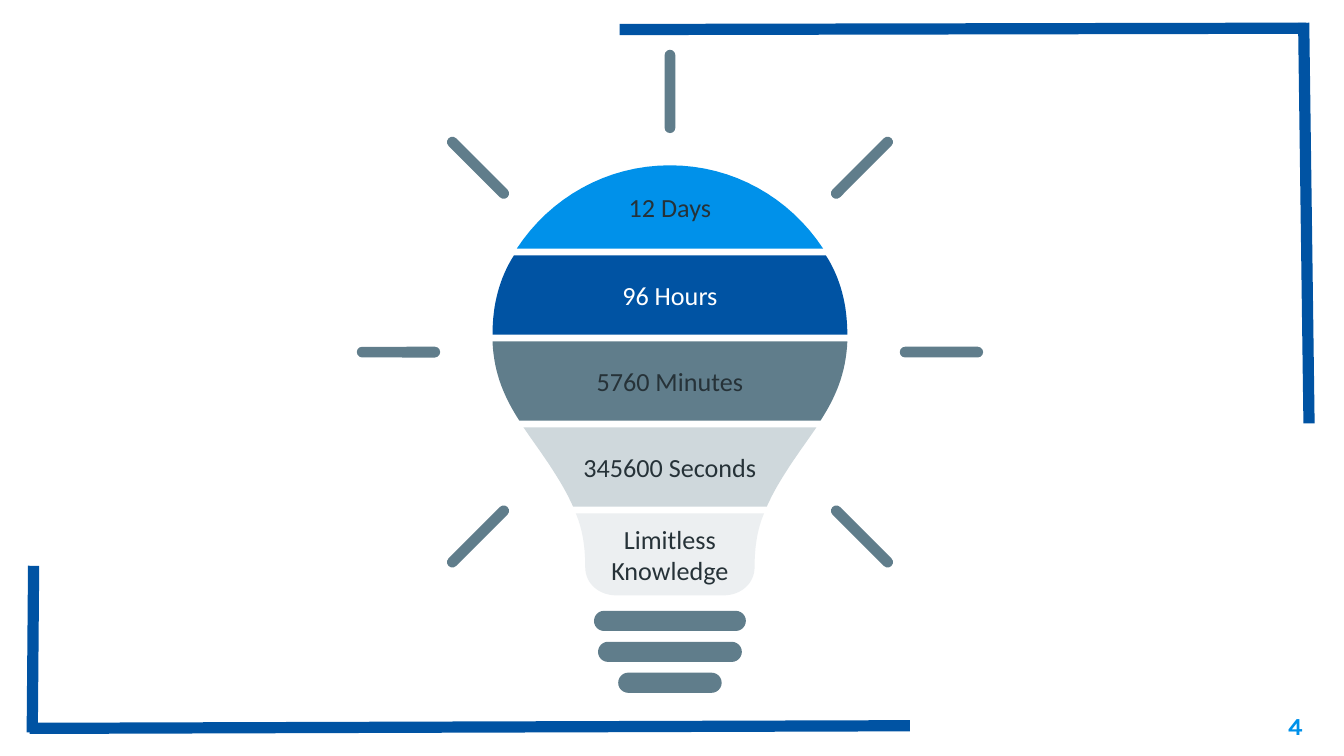
from math import cos, radians, sin

from lxml import etree
from pptx import Presentation
from pptx.dml.color import RGBColor
from pptx.enum.shapes import MSO_CONNECTOR, MSO_SHAPE
from pptx.enum.text import MSO_ANCHOR, PP_ALIGN
from pptx.oxml.ns import qn
from pptx.util import Inches, Pt

SKY = RGBColor(0x00, 0x91, 0xEA)
NAVY = RGBColor(0x00, 0x53, 0xA3)
SLATE = RGBColor(0x60, 0x7D, 0x8B)
MIST = RGBColor(0xCF, 0xD8, 0xDC)
PALE = RGBColor(0xEC, 0xEF, 0xF1)
INK = RGBColor(0x26, 0x32, 0x38)
WHITE = RGBColor(0xFF, 0xFF, 0xFF)

BANDS = [
    ("12 Days", SKY, INK,
     [(0, 0.85), (0.47, 0.85), (0.89, 1.09), (1.14, 1.47)]),
    ("96 Hours", NAVY, WHITE,
     [(1.16, 1.52), (1.27, 1.69), (1.32, 1.89), (1.32, 2.11)]),
    ("5760 Minutes", SLATE, INK,
     [(1.32, 2.16), (1.31, 2.4), (1.23, 2.58), (1.12, 2.75)]),
    ("345600 Seconds", MIST, INK,
     [(1.09, 2.8), (0.96, 2.99), (0.82, 3.17), (0.72, 3.39)]),
    ("Limitless Knowledge", PALE, INK,
     [(0.7, 3.44), (0.65, 3.56), (0.63, 3.69), (0.63, 3.84),
      (0.63, 3.96), (0.53, 4.05), (0.4, 4.05)]),
]
RAY_ANGLES = [0, 45, 135, 180, 225, 270, 315]
BASE_WIDTHS = [1.13, 1.07, 0.77]
FRAME_LINES = [
    ((0, 5.25), (6.55, 5.23)),
    ((0.02, 5.28), (0.03, 4.04)),
    ((4.39, 0.05), (9.5, 0.04)),
    ((9.48, 0), (9.52, 2.98)),
]


def add_run(p, text, font, size, color, bold=False):
    """Append one formatted run to a paragraph."""
    r = p.add_run()
    r.text = text
    r.font.name, r.font.size, r.font.bold = font, Pt(size), bold
    r.font.color.rgb = color


def paint(sp, color):
    """Give a shape a flat fill with no outline or shadow."""
    sp.shadow.inherit = False
    sp.fill.solid()
    sp.fill.fore_color.rgb = color
    sp.line.fill.background()


def curve_points(controls, steps=16):
    """Sample a chain of cubic Bezier curves."""
    points = [controls[0]]
    for i in range(0, len(controls) - 1, 3):
        for n in range(1, steps + 1):
            t = n / steps
            weights = ((1 - t) ** 3, 3 * t * (1 - t) ** 2, 3 * t * t * (1 - t), t ** 3)
            points.append(tuple(
                sum(w * c[axis] for w, c in zip(weights, controls[i:i + 4]))
                for axis in (0, 1)))
    return points


def add_band(shapes, axis, top, text, fill, ink, profile):
    """Add a labelled bulb slice by mirroring its right-hand profile."""
    right = curve_points(profile)
    outline = right + [(-x, y) for x, y in reversed(right)]
    points = [(Inches(axis + x), Inches(top + y)) for x, y in outline]
    builder = shapes.build_freeform(*points[0])
    builder.add_line_segments(points[1:], close=True)
    sp = builder.convert_to_shape()
    paint(sp, fill)
    tf = sp.text_frame
    tf.word_wrap = True
    tf.vertical_anchor = MSO_ANCHOR.MIDDLE
    tf.margin_left = tf.margin_right = Inches(0.07)
    tf.margin_top = tf.margin_bottom = Inches(0.04)
    p = tf.paragraphs[0]
    p.alignment = PP_ALIGN.CENTER
    add_run(p, text, "Calibri", 14, ink)


def add_capsule(shapes, cx, cy, width, height, angle=0):
    """Add a round-ended bar around a centre point."""
    sp = shapes.add_shape(MSO_SHAPE.ROUNDED_RECTANGLE, Inches(cx - width / 2),
                          Inches(cy - height / 2), Inches(width), Inches(height))
    sp.adjustments[0] = 0.5
    sp.rotation = angle
    paint(sp, SLATE)


def add_bulb(s, left, top, width):
    """Draw the light bulb with its bands, rays and screw base."""
    shapes = s.shapes.add_group_shape().shapes
    axis = left + width / 2
    for band in BANDS:
        add_band(shapes, axis, top, *band)
    for angle in RAY_ANGLES:
        a = radians(angle)
        add_capsule(shapes, axis + 2.02 * cos(a), top + 2.24 + 1.94 * sin(a),
                    0.62, 0.08, angle)
    for i, bar in enumerate(BASE_WIDTHS):
        add_capsule(shapes, axis, top + 4.24 + 0.23 * i, bar, 0.15)


def add_frame(s, left, top):
    """Draw the two open corners around the slide."""
    shapes = s.shapes.add_group_shape().shapes
    for (x1, y1), (x2, y2) in FRAME_LINES:
        line = shapes.add_connector(
            MSO_CONNECTOR.STRAIGHT, Inches(left + x1), Inches(top + y1),
            Inches(left + x2), Inches(top + y2))
        line.line.color.rgb = NAVY
        line.line.width = Pt(6)
        etree.SubElement(line._element.spPr, qn("a:effectLst"))


def add_page_number(s, left, top, width, height):
    """Place the page number in its corner box."""
    tf = s.shapes.add_textbox(Inches(left), Inches(top),
                              Inches(width), Inches(height)).text_frame
    tf.word_wrap = True
    tf.margin_left = tf.margin_right = tf.margin_top = tf.margin_bottom = Inches(0.1)
    p = tf.paragraphs[0]
    p.alignment = PP_ALIGN.RIGHT
    add_run(p, "4", "Karla", 13, SKY, bold=True)


def main():
    """Build and save the slide."""
    prs = Presentation()
    prs.slide_width = Inches(10)
    prs.slide_height = prs.slide_width * 9 // 16
    s = prs.slides.add_slide(prs.slide_layouts[6])
    add_bulb(s, 2.65, 0.38, 4.67)
    add_page_number(s, 9.19, 5.19, 0.6, 0.43)
    add_frame(s, 0.22, 0.17)
    prs.save("out.pptx")


if __name__ == "__main__":
    main()
